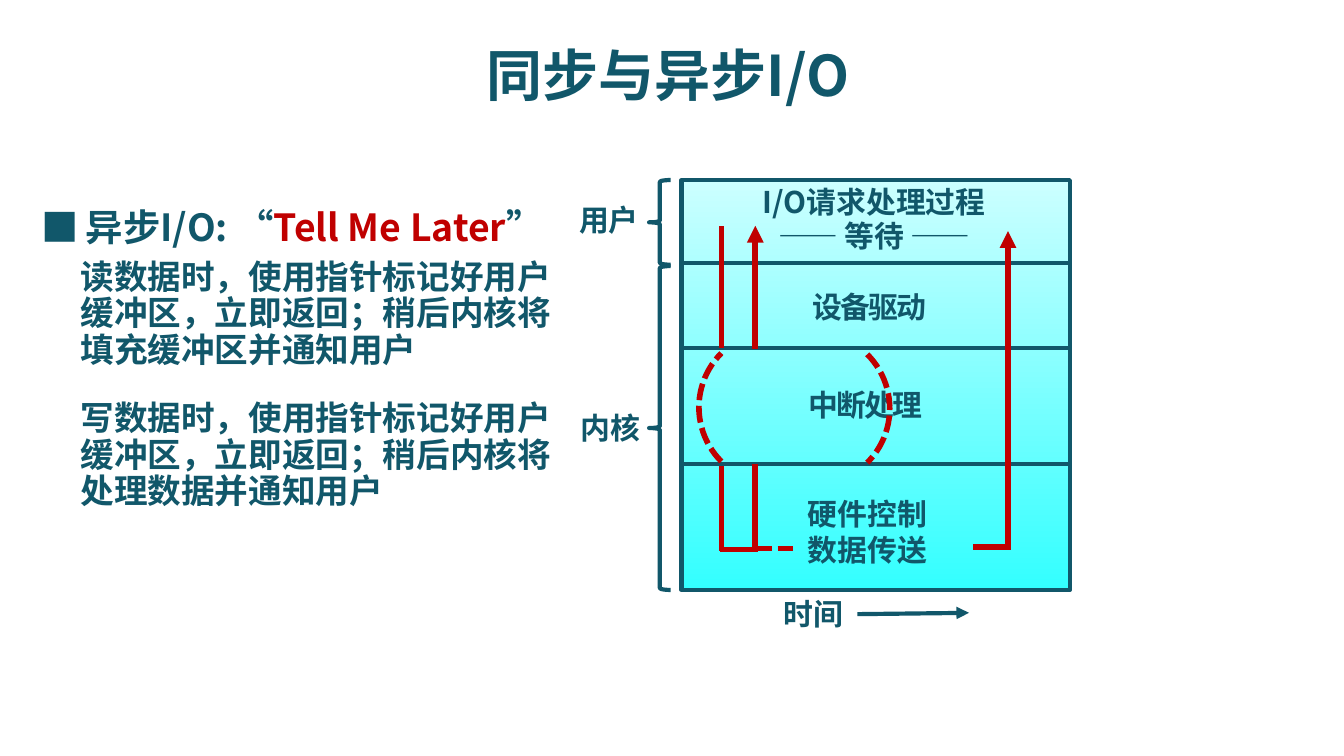
from pptx import Presentation
from pptx.dml.color import RGBColor
from pptx.enum.dml import MSO_LINE
from pptx.enum.shapes import MSO_CONNECTOR, MSO_SHAPE
from pptx.enum.text import MSO_ANCHOR, MSO_AUTO_SIZE, PP_ALIGN
from pptx.oxml.ns import qn
from pptx.util import Inches, Pt
from lxml import etree

STRAIGHT = MSO_CONNECTOR.STRAIGHT
DASH = MSO_LINE.SQUARE_DOT
LEFT, CENTER = PP_ALIGN.LEFT, PP_ALIGN.CENTER
COLORS = {"teal": "11576A", "red": "C00000", "pale": "CCFFFF", "cyan": "33FFFF"}
RGB = {name: RGBColor.from_string(value) for name, value in COLORS.items()}
SANS, SQUARE = "Noto Sans CJK SC", "Noto Sans CJK JP"

prs = Presentation()
prs.slide_width = Inches(10)
prs.slide_height = prs.slide_width * 9 // 16
s = prs.slides.add_slide(prs.slide_layouts[5])


def write(sp, lines, size=16, align=LEFT, wrap=False, spacing=1.0, track=0, font=SANS):
    tf = sp.text_frame
    for name, value in {"word_wrap": wrap, "auto_size": MSO_AUTO_SIZE.NONE,
                        "vertical_anchor": MSO_ANCHOR.TOP}.items():
        setattr(tf, name, value)
    for i, runs in enumerate(lines):
        p = tf.paragraphs[0] if i == 0 else tf.add_paragraph()
        p.alignment, p.line_spacing = align, spacing
        for text, color in runs:
            r = p.add_run()
            r.text = text
            for name, value in {"size": Pt(size), "bold": True, "name": font}.items():
                setattr(r.font, name, value)
            r.font.color.rgb = RGB[color]
            rPr = r.font._element
            etree.SubElement(rPr, qn("a:ea")).set("typeface", font)
            if track:
                rPr.set("spc", str(track))


def draw_line(x1, y1, x2, y2, color="teal", width=2.25, arrow=False, dash=None):
    c = s.shapes.add_connector(STRAIGHT, *map(Inches, (x1, y1, x2, y2)))
    c.line.color.rgb, c.line.width = RGB[color], Pt(width)
    if dash:
        c.line.dash_style = dash
    if arrow:
        etree.SubElement(c.line._get_or_add_ln(), qn("a:tailEnd")).set("type", "triangle")
    etree.SubElement(c._element.spPr, qn("a:effectLst"))


title = s.shapes.title
title.left, title.top, title.width, title.height = map(Inches, (0.47, 0.25, 9, 0.61))
write(title, [[("同步与异步I/O", "teal")]], size=30, align=CENTER, wrap=True)

stack_left, stack_right = 5.07, 7.96
layers = [1.34, 1.96, 2.59, 3.45, 4.39]
stack = s.shapes.add_shape(MSO_SHAPE.RECTANGLE, *map(Inches, (
    stack_left, layers[0], stack_right - stack_left, layers[-1] - layers[0])))
stack.shadow.inherit = False
stack.fill.gradient()
stack.fill.gradient_angle = 270
for stop, color, position in zip(stack.fill.gradient_stops, ("pale", "cyan"), (0, 1)):
    stop.color.rgb, stop.position = RGB[color], position
stack.line.color.rgb, stack.line.width = RGB["teal"], Pt(2.25)
for y in layers[1:-1]:
    draw_line(stack_left, y, stack_right, y)

for top, bottom in ((layers[0], 1.97), (1.98, layers[-1])):
    brace = s.shapes.add_shape(MSO_SHAPE.LEFT_BRACE, *map(Inches, (4.83, top, 0.16, bottom - top)))
    brace.shadow.inherit = False
    brace.fill.background()
    brace.line.color.rgb, brace.line.width = RGB["teal"], Pt(2.25)

body = {"size": 18, "wrap": True, "spacing": 0.9}
texts = [
    (5.55, 1.32, 1.91, 0.37, ["I/O请求处理过程"], {"align": CENTER}),
    (5.63, 1.57, 1.75, 0.37, ["—— 等待 ——"], {"align": CENTER}),
    (5.95, 2.1, 1.07, 0.37, ["设备驱动"], {"track": -100}),
    (5.92, 2.83, 1.11, 0.37, ["中断处理"], {"track": -100}),
    (5.9, 3.64, 1.11, 0.64, ["硬件控制", "数据传送"], {"align": CENTER}),
    (4.21, 1.45, 0.65, 0.37, ["用户"], {}),
    (4.22, 3, 0.65, 0.37, ["内核"], {}),
    (5.73, 4.38, 0.65, 0.37, ["时间"], {}),
    (0.21, 1.47, 0.47, 0.44, ["■"], {"size": 20, "font": SQUARE}),
    (0.5, 1.89, 3.72, 0.92,
     ["读数据时，使用指针标记好用户缓冲区，立即返回；稍后内核将填充缓冲区并通知用户"], body),
    (0.5, 2.94, 3.79, 0.92,
     ["写数据时，使用指针标记好用户缓冲区，立即返回；稍后内核将处理数据并通知用户"], body),
]
for x, y, w, h, lines, style in texts:
    sp = s.shapes.add_textbox(*map(Inches, (x, y, w, h)))
    write(sp, [[(text, "teal")] for text in lines], **style)

heading = s.shapes.add_textbox(*map(Inches, (0.54, 1.47, 3.98, 0.44)))
write(heading, [[("异步I/O: “", "teal"), ("Tell Me Later", "red"), ("”", "teal")]],
      size=20, wrap=True)

draw_line(6.38, 4.57, 7.21, 4.56, arrow=True)
request_x, return_x, finish_x, transfer_y = 5.37, 5.62, 7.5, 4.08
for x1, y1, x2, y2, arrow, dash in (
    (request_x, layers[2], request_x, 1.68, False, None),
    (request_x, 4.1, request_x, 3.47, False, None),
    (5.36, 4.09, 5.64, 4.09, False, None),
    (return_x, 2.6, return_x, 1.68, True, None),
    (return_x, transfer_y, return_x, layers[3], False, None),
    (return_x, transfer_y, 5.9, transfer_y, False, DASH),
    (7.24, 4.07, 7.52, 4.07, False, None),
    (finish_x, 4.09, finish_x, 1.72, True, None),
):
    draw_line(x1, y1, x2, y2, "red", 3, arrow, dash)

for x, y, rotation in ((5.2, 2.46, 225), (5.48, 2.47, 45)):
    arc = s.shapes.add_shape(MSO_SHAPE.ARC, *map(Inches, (x, y, 1.14, 1.14)))
    arc.rotation = rotation
    arc.shadow.inherit = False
    arc.fill.background()
    arc.line.color.rgb, arc.line.width, arc.line.dash_style = RGB["red"], Pt(3), DASH

prs.save("out.pptx")
